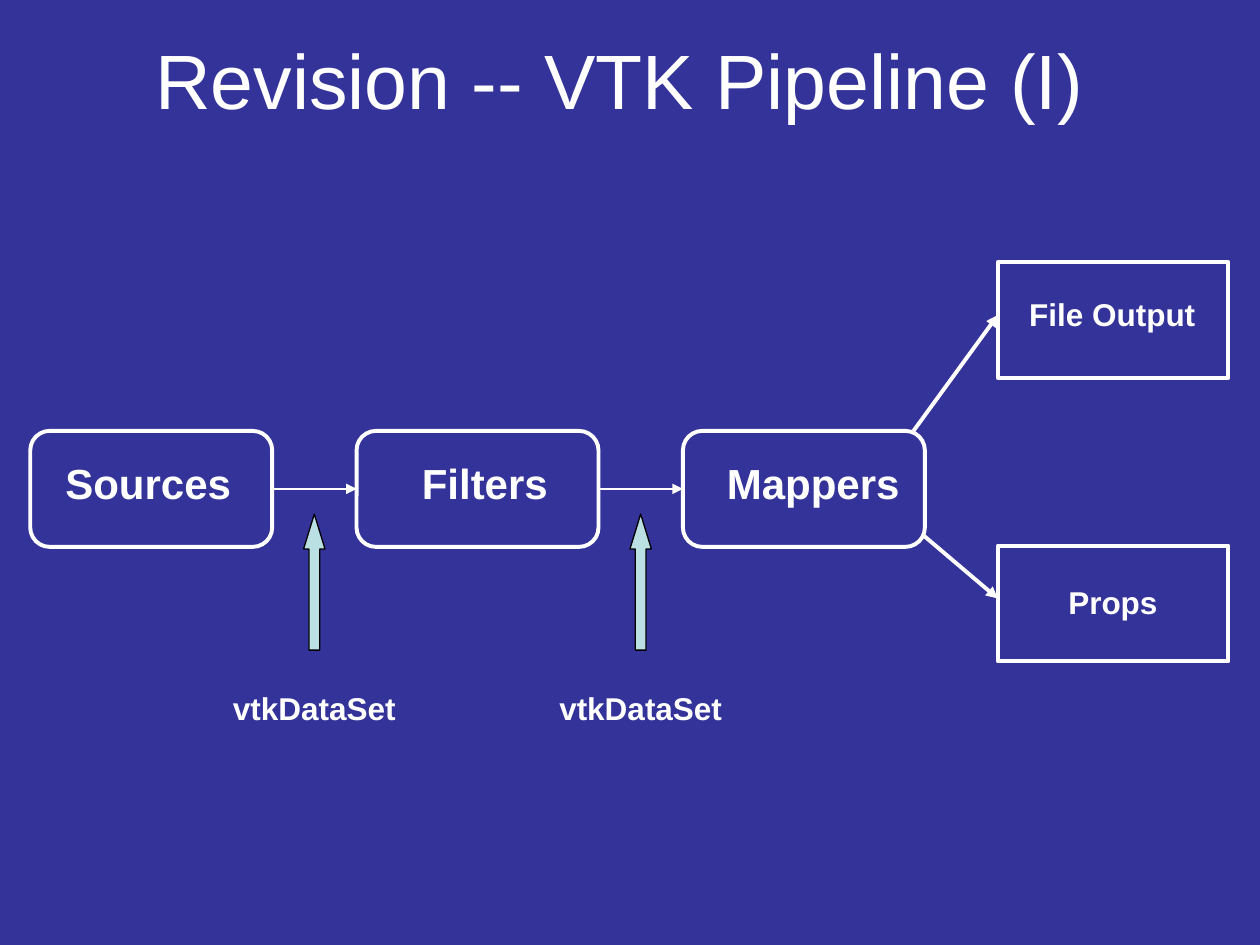
from dataclasses import dataclass

from lxml import etree
from pptx import Presentation
from pptx import util as u
from pptx.dml.color import RGBColor
from pptx.enum import shapes, text
from pptx.oxml.ns import qn

LEFT, RIGHT = 1, 3


@dataclass(frozen=True)
class Theme:
    """Colours and type sizes of the slide."""
    background: RGBColor = RGBColor(0x33, 0x33, 0x99)
    ink: RGBColor = RGBColor(0xFF, 0xFF, 0xFF)
    pointer: RGBColor = RGBColor(0xBB, 0xE0, 0xE3)
    pointer_edge: RGBColor = RGBColor(0, 0, 0)
    font: str = "Arial"
    title: int = 44
    stage: int = 24
    label: int = 18
    outline: float = 2.25
    flow: float = 1.5
    edge: float = 0.75


THEME = Theme()


def write(frame, wording, size, bold):
    """Write one run in the theme's font and ink."""
    run = frame.paragraphs[0].add_run()
    run.text = wording
    run.font.name = THEME.font
    run.font.size = u.Pt(size)
    run.font.bold = bold
    run.font.color.rgb = THEME.ink


def add_label(slide, wording, left, top, width, height, size):
    """Add a bold one-line label that fits its text."""
    label = slide.shapes.add_textbox(*map(u.Inches, (left, top, width, height)))
    label.text_frame.word_wrap = False
    label.text_frame.auto_size = text.MSO_AUTO_SIZE.SHAPE_TO_FIT_TEXT
    write(label.text_frame, wording, size, True)


def add_title(slide, wording):
    """Add the centred slide title."""
    title = slide.shapes.add_textbox(*map(u.Inches, (0.42, 0, 9, 1.25)))
    frame = title.text_frame
    frame.word_wrap = True
    frame.vertical_anchor = text.MSO_ANCHOR.MIDDLE
    frame.paragraphs[0].alignment = text.PP_ALIGN.CENTER
    write(frame, wording, THEME.title, False)


def add_box(slide, kind, left, top, width):
    """Add an unfilled outlined box."""
    box = slide.shapes.add_shape(kind, *map(u.Inches, (left, top, width, 0.92)))
    box.shadow.inherit = False
    box.fill.background()
    box.line.color.rgb = THEME.ink
    box.line.width = u.Pt(THEME.outline)
    return box


def add_flow(slide, start, end, weight):
    """Add an arrow that shows the flow of data."""
    flow = slide.shapes.add_connector(
        shapes.MSO_CONNECTOR.STRAIGHT, *map(u.Inches, start + end))
    flow.line.color.rgb = THEME.ink
    flow.line.width = u.Pt(weight)
    etree.SubElement(flow.line._get_or_add_ln(), qn("a:tailEnd"), type="triangle")
    etree.SubElement(flow._element.spPr, qn("a:effectLst"))
    return flow


def add_pointer(slide, left):
    """Add an upward block arrow below a flow."""
    pointer = slide.shapes.add_shape(
        shapes.MSO_SHAPE.UP_ARROW, *map(u.Inches, (left, 4.08, 0.17, 1.08)))
    pointer.adjustments[0] = 0.5
    pointer.adjustments[1] = 1.63
    pointer.shadow.inherit = False
    pointer.fill.solid()
    pointer.fill.fore_color.rgb = THEME.pointer
    pointer.line.color.rgb = THEME.pointer_edge
    pointer.line.width = u.Pt(THEME.edge)


def main():
    """Build and save the pipeline slide."""
    deck = Presentation()
    deck.slide_width, deck.slide_height = u.Inches(10), u.Inches(7.5)
    slide = deck.slides.add_slide(deck.slide_layouts[6])
    slide.background.fill.solid()
    slide.background.fill.fore_color.rgb = THEME.background
    add_title(slide, "Revision -- VTK Pipeline (I)")

    pitch = 2.59
    stages = [add_box(slide, shapes.MSO_SHAPE.ROUNDED_RECTANGLE,
                      0.24 + pitch * step, 3.42, 1.92) for step in range(3)]
    for step, (source, target) in enumerate(zip(stages, stages[1:])):
        shift = pitch * step
        flow = add_flow(slide, (2.16 + shift, 3.88), (2.83 + shift, 3.88),
                        THEME.flow)
        flow.begin_connect(source, RIGHT)
        flow.end_connect(target, LEFT)
        add_pointer(slide, 2.41 + shift)
        add_label(slide, "vtkDataSet", 1.75 + shift, 5.42, 1.49, 0.4, THEME.label)

    for wording, left, width in (("Sources", 0.42, 1.56),
                                 ("Filters", 3.25, 1.2),
                                 ("Mappers", 5.67, 1.57)):
        add_label(slide, wording, left, 3.58, width, 0.5, THEME.stage)

    for wording, box_top, left, top, width, start in (
            ("File Output", 2.08, 8.07, 2.29, 1.52, (7.25, 3.42)),
            ("Props", 4.33, 8.38, 4.58, 0.91, (7.33, 4.25))):
        add_box(slide, shapes.MSO_SHAPE.RECTANGLE, 7.92, box_top, 1.83)
        add_label(slide, wording, left, top, width, 0.4, THEME.label)
        add_flow(slide, start, (7.92, box_top + 0.42), THEME.outline)

    deck.save("out.pptx")


if __name__ == "__main__":
    main()
